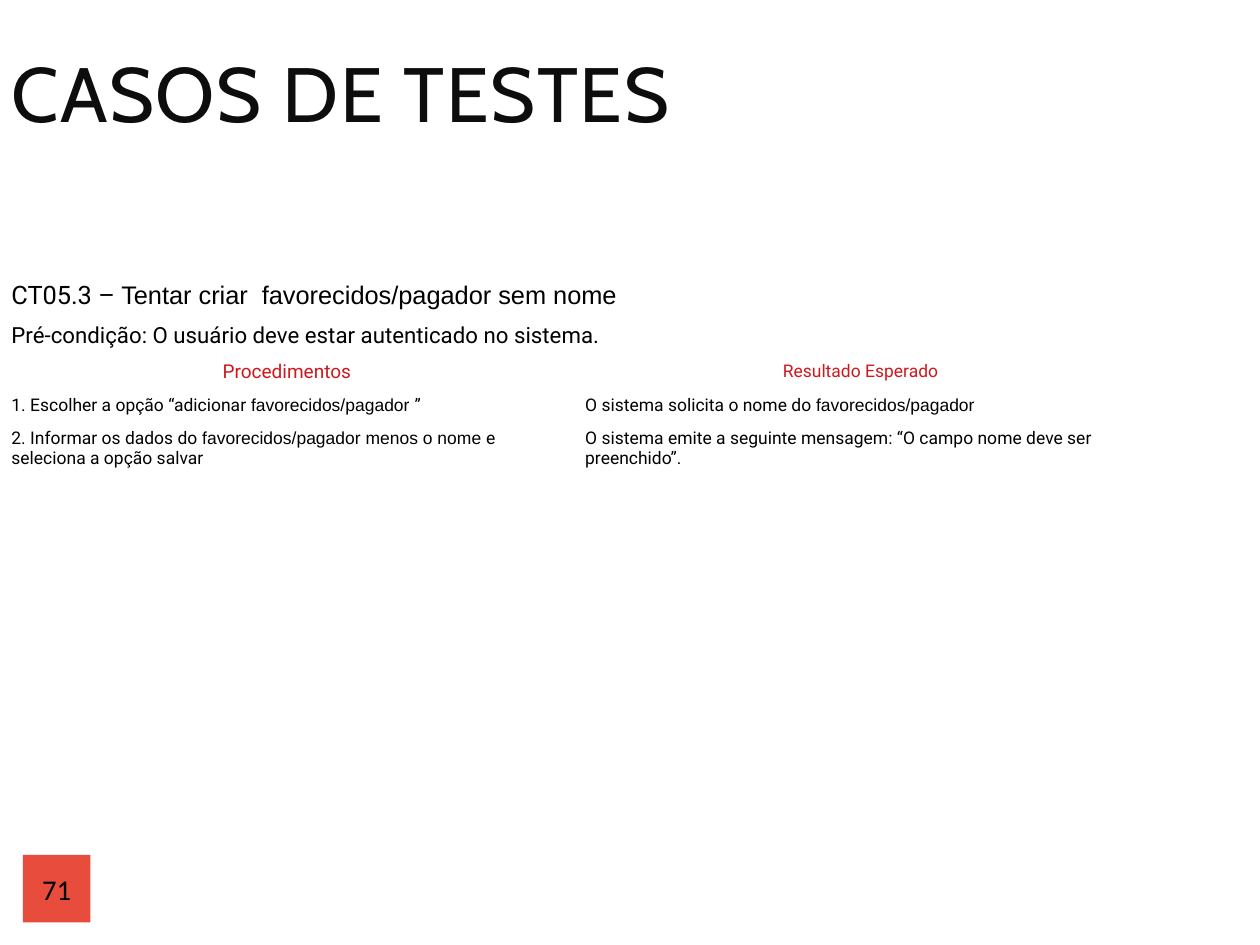
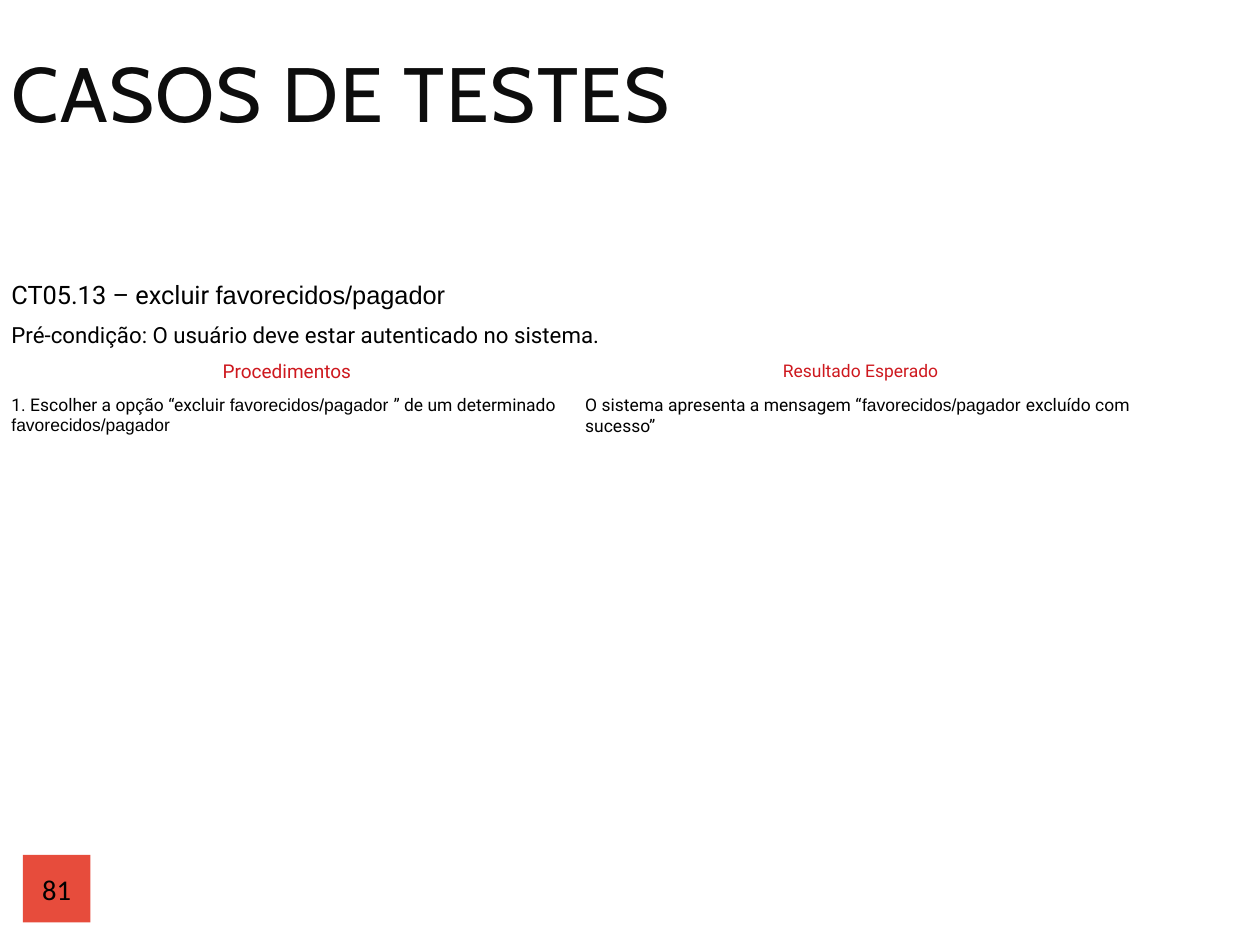
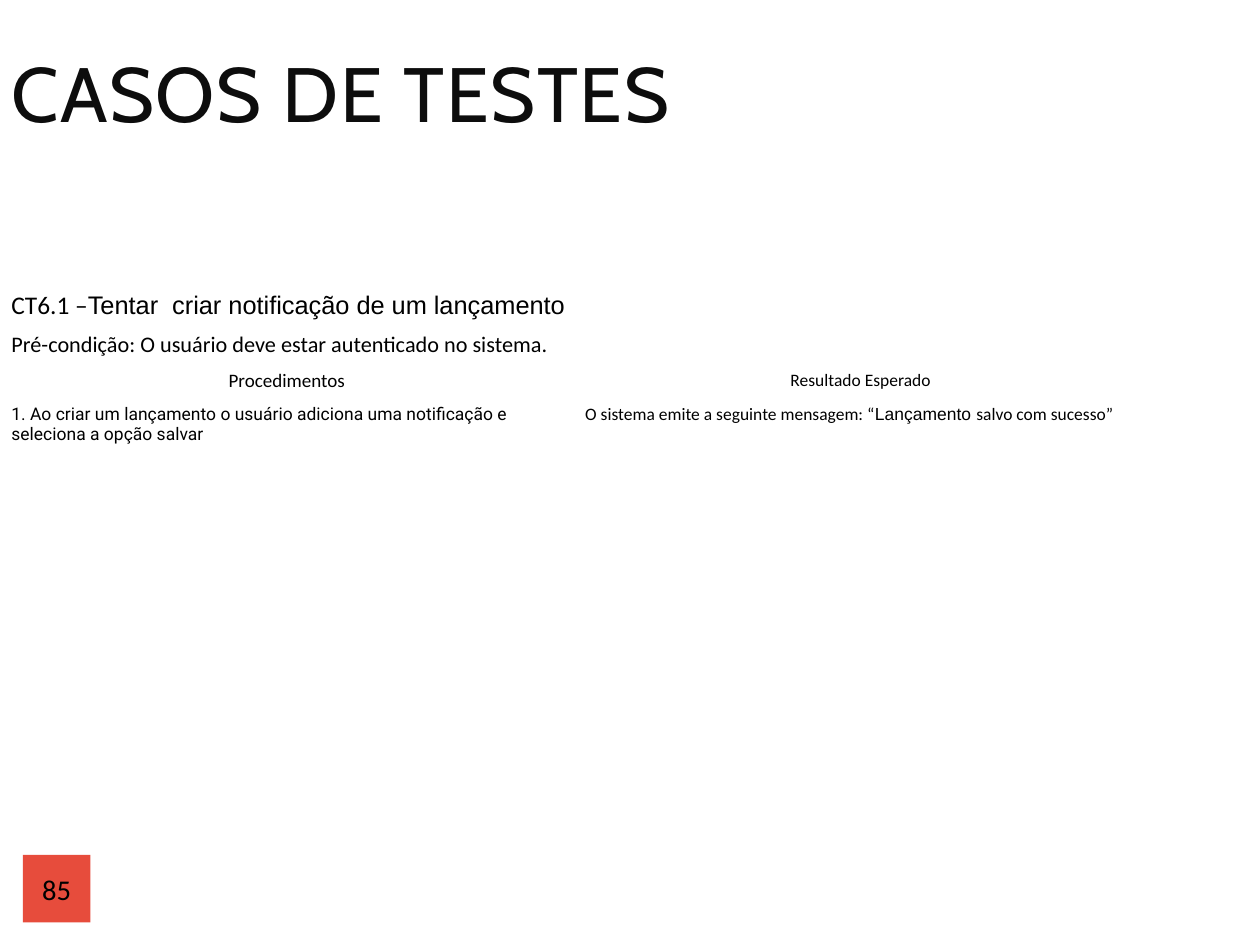
"""Build the three test-case slides, each with a title, a case table and a page badge."""
from dataclasses import dataclass
from typing import NamedTuple

from pptx import Presentation
from pptx.dml.color import RGBColor
from pptx.enum.shapes import MSO_SHAPE
from pptx.enum.text import MSO_ANCHOR, PP_ALIGN
from pptx.util import Inches, Pt

LEFT, CENTER = PP_ALIGN.LEFT, PP_ALIGN.CENTER
MIDDLE = MSO_ANCHOR.MIDDLE
RECTANGLE = MSO_SHAPE.RECTANGLE
ARIAL, CABIN, CALIBRI, ROBOTO = "Arial", "Cabin", "Calibri", "Roboto"


@dataclass(frozen=True)
class Theme:
    ink: RGBColor = RGBColor(0x00, 0x00, 0x00)
    title_ink: RGBColor = RGBColor(0x0D, 0x0D, 0x0D)
    badge: RGBColor = RGBColor(0xE7, 0x4C, 0x3C)
    accent: RGBColor = RGBColor(0xCE, 0x18, 0x1E)
    title_size: float = 48.5
    badge_size: float = 18
    case_size: float = 16
    condition_size: float = 14
    procedure_head_size: float = 12
    body_size: float = 11


THEME = Theme()
CM_PER_INCH = 2.54
SLIDE_WIDTH, SLIDE_HEIGHT = Inches(28 / CM_PER_INCH), Inches(21 / CM_PER_INCH)
TITLE = "CASOS DE TESTES"
CONDITION = "Pré-condição: O usuário deve estar autenticado no sistema."
COLUMN_WIDTH = 5.02
HEAD_HEIGHTS = (0.34, 0.31, 0.28)
ONE_LINE, TWO_LINES = 0.27, 0.44


class Span(NamedTuple):
    text: str
    font: str


class Step(NamedTuple):
    procedure: list[Span]
    result: list[Span]
    height: float


@dataclass(frozen=True)
class TestCase:
    page: int
    name: list[Span]
    steps: list[Step]
    font: str = ROBOTO
    head_color: RGBColor = THEME.accent
    top: float = 2.41
    name_spacing: float | None = None


CASES = [
    TestCase(
        71,
        [Span("CT05.3 – ", ROBOTO),
         Span("Tentar criar  favorecidos/pagador sem nome", ARIAL)],
        [
            Step([Span("1. Escolher a opção “adicionar ", ROBOTO),
                  Span("favorecidos/pagador ", ARIAL), Span("”", ROBOTO)],
                 [Span("O sistema solicita o nome do ", ROBOTO),
                  Span("favorecidos/pagador", ARIAL)], ONE_LINE),
            Step([Span("2. Informar os dados do ", ROBOTO),
                  Span("favorecidos/pagador menos o nome", ARIAL),
                  Span(" e seleciona a opção salvar", ROBOTO)],
                 [Span("O sistema emite a seguinte mensagem: “O campo nome "
                       "deve ser preenchido”.", ROBOTO)], TWO_LINES),
        ],
    ),
    TestCase(
        81,
        [Span("CT05.13 – excluir ", ROBOTO), Span("favorecidos/pagador", ARIAL)],
        [
            Step([Span("1. Escolher a opção “excluir ", ROBOTO),
                  Span("favorecidos/pagador ", ARIAL),
                  Span("” de um determinado ", ROBOTO),
                  Span("favorecidos/pagador", ARIAL)],
                 [Span("O sistema apresenta a mensagem “", ROBOTO),
                  Span("favorecidos/pagador ", ARIAL),
                  Span("excluído com sucesso”", ROBOTO)], TWO_LINES),
        ],
    ),
    TestCase(
        85,
        [Span("CT6.1 –", CALIBRI),
         Span("Tentar  criar notificação de um lançamento", ARIAL)],
        [
            Step([Span("1. Ao criar um lançamento o usuário adiciona uma "
                       "notificação e seleciona a opção salvar", ROBOTO)],
                 [Span("O sistema emite a seguinte mensagem: “", CALIBRI),
                  Span("Lançamento ", ARIAL),
                  Span("salvo com sucesso”", CALIBRI)], TWO_LINES),
        ],
        font=CALIBRI, head_color=THEME.ink, top=2.5, name_spacing=0.94,
    ),
]


def write(p, spans: list[Span], size: float, color: RGBColor = THEME.ink,
          align: PP_ALIGN = LEFT) -> None:
    """Fill a paragraph with formatted runs."""
    p.alignment = align
    for span in spans:
        r = p.add_run()
        r.text = span.text
        r.font.name = span.font
        r.font.size = Pt(size)
        r.font.color.rgb = color


def add_badge(s, page: int) -> None:
    """Draw the page number on its red square."""
    sp = s.shapes.add_shape(RECTANGLE, Inches(0.2), Inches(7.48),
                            Inches(0.59), Inches(0.59))
    sp.shadow.inherit = False
    sp.fill.solid()
    sp.fill.fore_color.rgb = THEME.badge
    sp.line.fill.background()
    tf = sp.text_frame
    tf.margin_left = tf.margin_right = tf.margin_top = tf.margin_bottom = 0
    tf.vertical_anchor = MIDDLE
    write(tf.paragraphs[0], [Span(str(page), CALIBRI)], THEME.badge_size,
          align=CENTER)


def add_title(s) -> None:
    """Draw the shared slide title."""
    sp = s.shapes.add_textbox(0, Inches(0.39), Inches(10.24), Inches(0.98))
    tf = sp.text_frame
    tf.word_wrap = True
    tf.vertical_anchor = MIDDLE
    p = tf.paragraphs[0]
    p.line_spacing = 0.8
    write(p, [Span(TITLE, CABIN)], THEME.title_size, THEME.title_ink)
    p.runs[0]._r.get_or_add_rPr().set("spc", "110")


def add_case_table(s, case: TestCase) -> None:
    """Draw the case name, its precondition and its steps as a table."""
    heights = [*HEAD_HEIGHTS, *(step.height for step in case.steps)]
    table = s.shapes.add_table(len(heights), 2, 0, Inches(case.top),
                               Inches(2 * COLUMN_WIDTH),
                               Inches(sum(heights))).table
    table.first_row = table.horz_banding = False
    for column in table.columns:
        column.width = Inches(COLUMN_WIDTH)
    for row, height in zip(table.rows, heights):
        row.height = Inches(height)
    for cell in table.iter_cells():
        cell.fill.background()
    for i in range(2):
        table.cell(i, 0).merge(table.cell(i, 1))

    def paragraph(row: int, col: int):
        """Return the only paragraph of a cell."""
        return table.cell(row, col).text_frame.paragraphs[0]

    paragraph(0, 0).line_spacing = case.name_spacing
    write(paragraph(0, 0), case.name, THEME.case_size)
    write(paragraph(1, 0), [Span(CONDITION, case.font)], THEME.condition_size)
    heads = (("Procedimentos", THEME.procedure_head_size),
             ("Resultado Esperado", THEME.body_size))
    for col, (text, size) in enumerate(heads):
        write(paragraph(2, col), [Span(text, case.font)], size,
              case.head_color, CENTER)
    for row, step in enumerate(case.steps, start=len(HEAD_HEIGHTS)):
        write(paragraph(row, 0), step.procedure, THEME.body_size)
        write(paragraph(row, 1), step.result, THEME.body_size)


def main() -> None:
    """Build and save the presentation."""
    prs = Presentation()
    prs.slide_width, prs.slide_height = SLIDE_WIDTH, SLIDE_HEIGHT
    for case in CASES:
        s = prs.slides.add_slide(prs.slide_layouts[6])
        add_badge(s, case.page)
        add_title(s)
        add_case_table(s, case)
    prs.save("out.pptx")


if __name__ == "__main__":
    main()
